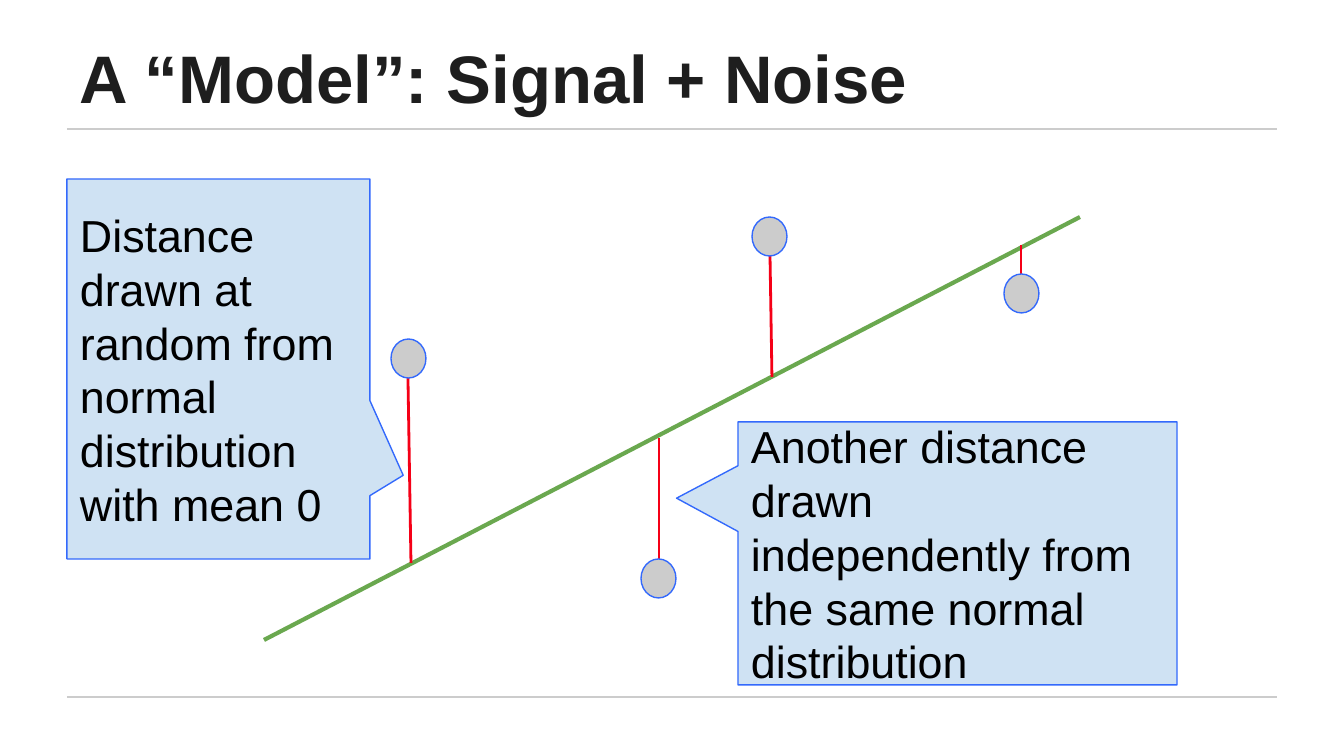
from pptx import Presentation
from pptx.dml.color import RGBColor
from pptx.enum.shapes import MSO_CONNECTOR, MSO_SHAPE
from pptx.enum.text import MSO_ANCHOR, PP_ALIGN
from pptx.util import Pt
from lxml.etree import SubElement
from pptx.oxml.ns import qn

HUES = {"rule": "CCCCCC", "title": "1E1E1E", "signal": "6AA84F", "dot": "CCCCCC",
        "edge": "3369FC", "noise": "F50017", "note": "CFE2F3", "text": "000000"}
UNIT = 914400 / 134.4


def px(*vals):
    return [round(v * UNIT) for v in vals]


def write(shape, text, hue, size, anchor, bold=False, pitch=None):
    frame = shape.text_frame
    inset = px(13)[0]
    form = {"word_wrap": True, "vertical_anchor": anchor, "margin_left": inset,
            "margin_right": inset, "margin_top": inset, "margin_bottom": inset}
    for key, val in form.items():
        setattr(frame, key, val)
    para = frame.paragraphs[0]
    para.alignment = PP_ALIGN.LEFT
    para.line_spacing = pitch
    run = para.add_run()
    run.text = text
    for key, val in {"name": "Arial", "size": Pt(size), "bold": bold}.items():
        setattr(run.font, key, val)
    run.font.color.rgb = RGBColor.from_string(HUES[hue])


deck = Presentation()
deck.slide_width, deck.slide_height = px(1344, 756)
slide = deck.slides.add_slide(deck.slide_layouts[6])
shapes = slide.shapes

# Title
title = shapes.add_textbox(*px(67, 31, 1202, 99))
write(title, "A “Model”: Signal + Noise", "title", 36, MSO_ANCHOR.BOTTOM, bold=True)

# Rules, signal line and noise distances
lines = [
    ("rule", 0.75, (67, 129, 1277, 129)),
    ("rule", 0.75, (67, 697, 1277, 697)),
    ("signal", 2.25, (264, 640, 1080, 217)),
    ("noise", 1.5, (408, 378, 411, 563)),
    ("noise", 1.5, (659, 559, 659, 438)),
    ("noise", 1.5, (770, 255, 772, 377)),
    ("noise", 1.5, (1021, 274, 1021, 245)),
]
for hue, width, ends in lines:
    line = shapes.add_connector(MSO_CONNECTOR.STRAIGHT, *px(*ends))
    line.line.width = Pt(width)
    line.line.color.rgb = RGBColor.from_string(HUES[hue])
    SubElement(line._element.spPr, qn("a:effectLst"))

# Data points and callouts
dots = [(391, 339), (1004, 274), (641, 559), (752, 217)]
items = [(MSO_SHAPE.OVAL, "dot", (x, y, 35, 39), (), "") for x, y in dots]
notes = [
    ((67, 179, 303, 380), (0.61, 0.28, 0),
     "Distance drawn at random from normal distribution with mean 0"),
    ((738, 422, 439, 263), (-0.64, -0.21, 0),
     "Another distance drawn independently from the same normal distribution"),
]
items += [(MSO_SHAPE.ROUNDED_RECTANGULAR_CALLOUT, "note", *note) for note in notes]
for kind, hue, box, tip, text in items:
    shape = shapes.add_shape(kind, *px(*box))
    shape.shadow.inherit = False
    shape.fill.solid()
    shape.fill.fore_color.rgb = RGBColor.from_string(HUES[hue])
    shape.line.color.rgb = RGBColor.from_string(HUES["edge"])
    shape.line.width = Pt(0.75)
    for i, val in enumerate(tip):
        shape.adjustments[i] = val
    if text:
        write(shape, text, "text", 24, MSO_ANCHOR.MIDDLE, pitch=Pt(28.8))

deck.save("out.pptx")
